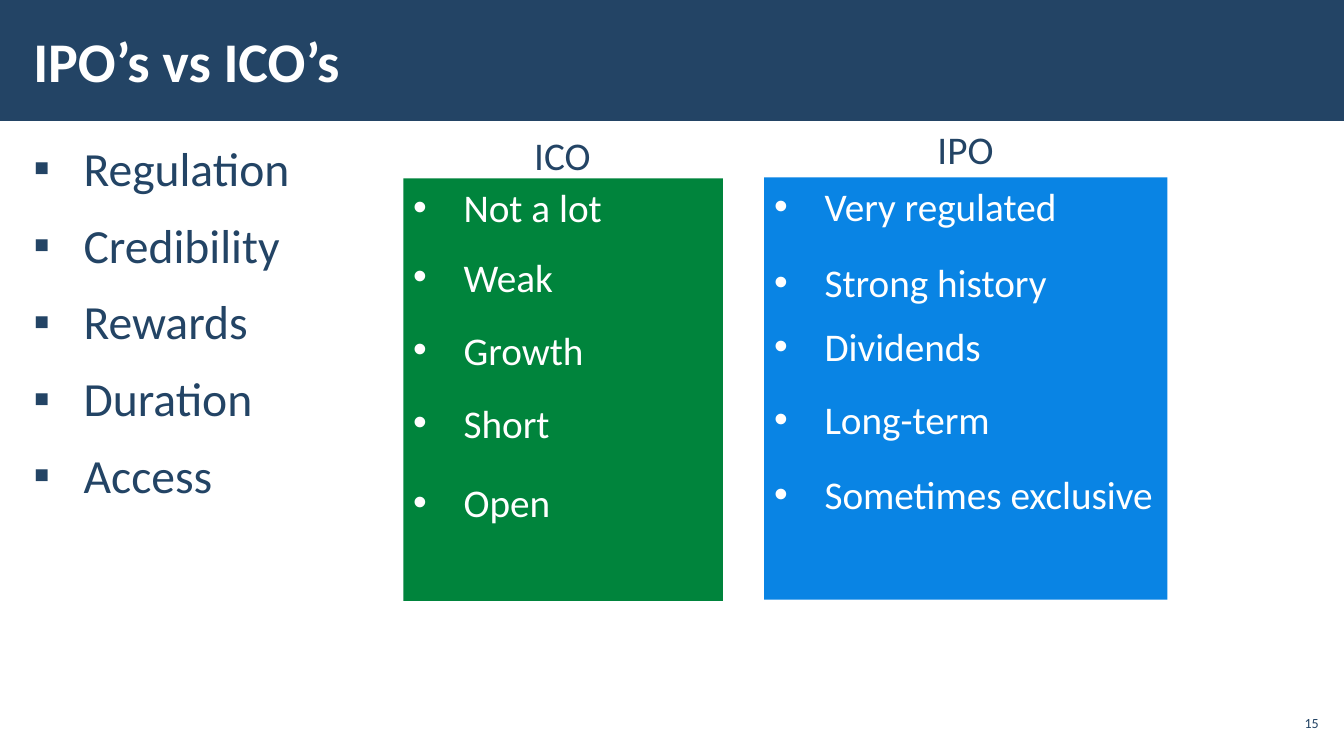
from lxml import etree
from pptx import Presentation
from pptx.dml.color import RGBColor
from pptx.enum.shapes import MSO_SHAPE
from pptx.enum.text import MSO_ANCHOR, PP_ALIGN
from pptx.oxml.ns import qn
from pptx.util import Inches, Pt

RECTANGLE = MSO_SHAPE.RECTANGLE
TOP, MIDDLE = MSO_ANCHOR.TOP, MSO_ANCHOR.MIDDLE
LEFT, RIGHT = PP_ALIGN.LEFT, PP_ALIGN.RIGHT

NAVY = RGBColor(0x23, 0x44, 0x65)
GREEN = RGBColor(0x00, 0x84, 0x3C)
BLUE = RGBColor(0x09, 0x84, 0xE4)
WHITE = RGBColor(0xFF, 0xFF, 0xFF)
FONT = "Calibri"
HANGING = Inches(0.5)

CRITERIA = ["Regulation", "Credibility", "Rewards", "Duration", "Access"]
# Each entry: wording and the space before it in points
ICO_ITEMS = [("Not a lot", 0), ("Weak", 16), ("Growth", 18.5),
             ("Short", 18.5), ("Open", 23)]
IPO_ITEMS = [("Very regulated", 0), ("Strong history", 20.5), ("Dividends", 12),
             ("Long-term", 18.5), ("Sometimes exclusive", 20.5)]


def add_block(page, left, top, width, height, color):
    block = page.shapes.add_shape(RECTANGLE, Inches(left), Inches(top),
                                  Inches(width), Inches(height))
    block.shadow.inherit = False
    block.fill.solid()
    block.fill.fore_color.rgb = color
    block.line.fill.background()
    return block


def add_text_box(page, left, top, width, height, anchor=TOP, wrap=True,
                 side=0.1, edge=0.05):
    box = page.shapes.add_textbox(Inches(left), Inches(top),
                                  Inches(width), Inches(height))
    frame = box.text_frame
    frame.word_wrap = wrap
    frame.vertical_anchor = anchor
    frame.margin_left = frame.margin_right = Inches(side)
    frame.margin_top = frame.margin_bottom = Inches(edge)
    return frame


def write(para, text, size, color, bold=False, align=LEFT):
    para.alignment = align
    span = para.add_run()
    span.text = text
    span.font.name = FONT
    span.font.size = Pt(size)
    span.font.bold = bold
    span.font.color.rgb = color


def add_bullets(frame, items, size, color, symbol):
    for index, (text, space) in enumerate(items):
        para = frame.add_paragraph() if index else frame.paragraphs[0]
        properties = para._p.get_or_add_pPr()
        properties.set("marL", str(HANGING))
        properties.set("indent", str(-HANGING))
        etree.SubElement(properties, qn("a:buFont"), typeface="Arial")
        etree.SubElement(properties, qn("a:buChar"), char=symbol)
        para.space_before = Pt(space)
        write(para, text, size, color)


def add_title_band(page, width, height):
    add_block(page, 0, 0, width, height, NAVY)
    frame = add_text_box(page, 0.21, 0.11, 10.39, height - 0.23, MIDDLE,
                         side=0.12, edge=0.04)
    write(frame.paragraphs[0], "IPO’s vs ICO’s", 40, WHITE, bold=True)


def add_criteria(page, left, top, width, height):
    frame = add_text_box(page, left, top, width, height, side=0.12, edge=0.04)
    items = [(text, 6 if index else 0) for index, text in enumerate(CRITERIA)]
    add_bullets(frame, items, 34, NAVY, "▪")
    for para in frame.paragraphs:
        para.line_spacing = 1.05
        para.space_after = Pt(6)


def add_offering(page, left, top, width, height, color, items,
                 heading, heading_left, heading_rise):
    # Coloured panel with its points
    frame = add_block(page, left, top, width, height, color).text_frame
    frame.word_wrap = True
    frame.vertical_anchor = TOP
    add_bullets(frame, items, 28, WHITE, "•")
    # Heading over the panel
    label = add_text_box(page, left + heading_left, top - heading_rise,
                         0.76, 0.57, wrap=False)
    write(label.paragraphs[0], heading, 28, NAVY)


def add_page_number(page, left, top, width, height):
    frame = add_text_box(page, left, top, width, height, MIDDLE,
                         side=0.04, edge=0.04)
    write(frame.paragraphs[0], "15", 10, NAVY, align=RIGHT)


def main():
    deck = Presentation()
    deck.slide_width, deck.slide_height = Inches(13.33), Inches(7.5)
    page = deck.slides.add_slide(deck.slide_layouts[6])
    add_title_band(page, 13.33, 1.2)
    add_criteria(page, 0.21, 1.31, 12.92, 5.69)
    add_page_number(page, 12.65, 7, 0.47, 0.34)
    add_offering(page, 4, 1.77, 3.17, 4.19, GREEN, ICO_ITEMS, "ICO", 1.2, 0.52)
    add_offering(page, 7.58, 1.76, 4, 4.19, BLUE, IPO_ITEMS, "IPO", 1.62, 0.57)
    deck.save("out.pptx")


if __name__ == "__main__":
    main()
